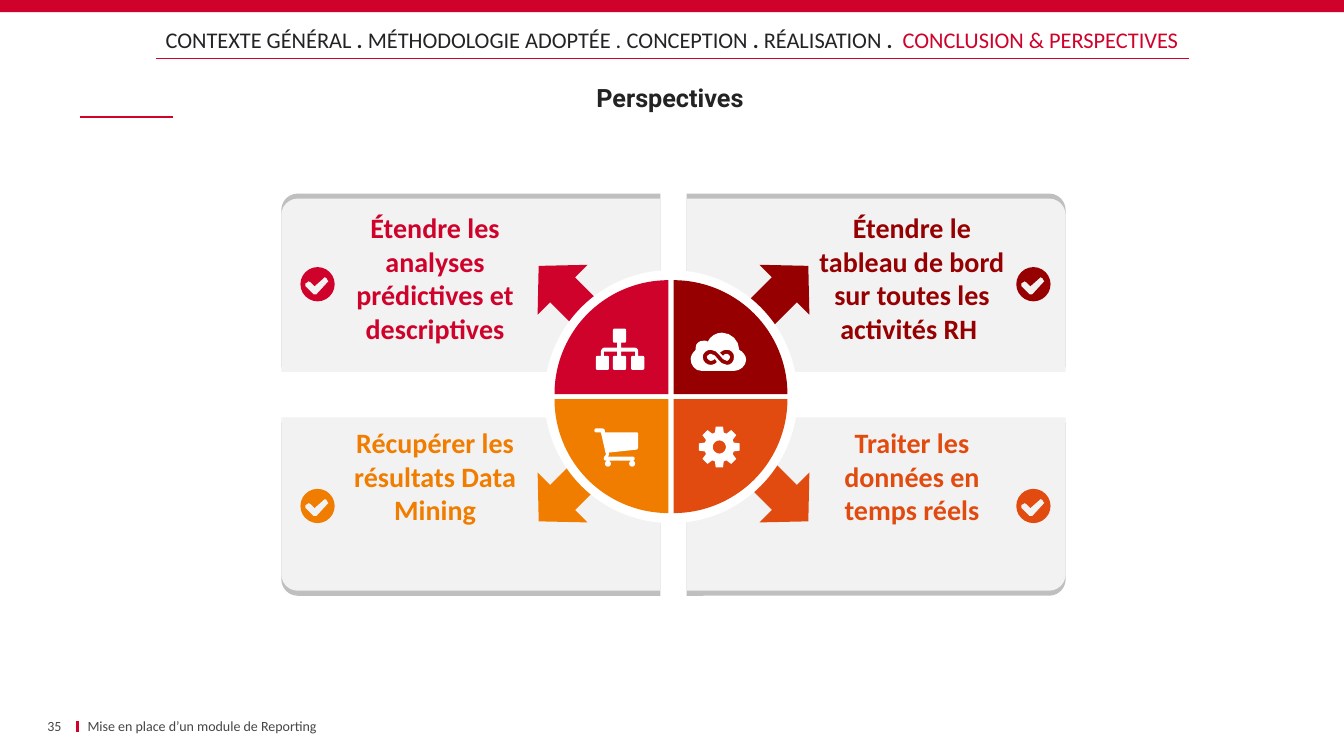
"""Builds the slide on the perspectives of the project, with four cards around a wheel."""
from math import cos, radians, sin

from lxml.etree import SubElement
from pptx import Presentation
from pptx.dml.color import RGBColor
from pptx.enum.shapes import MSO_CONNECTOR, MSO_SHAPE as SHAPE
from pptx.enum.text import MSO_ANCHOR as ANCHOR, MSO_AUTO_SIZE, PP_ALIGN as ALIGN
from pptx.oxml.ns import qn
from pptx.util import Pt

PX = 9144
RED, MAROON, ORANGE, RUST = "CF022B", "960000", "F07D00", "E14B0F"
WHITE, CARD, EDGE, INK, GREY = "FFFFFF", "F2F2F2", "BFBFBF", "232323", "464646"


def rgb(code):
    """Turn a hex string into a colour."""
    return RGBColor.from_string(code)


def emu(*lengths):
    """Turn px lengths into EMU."""
    return [round(length * PX) for length in lengths]


def paint(shape, colour):
    """Give a shape a flat fill without line or shadow."""
    shape.fill.solid()
    shape.fill.fore_color.rgb = rgb(colour)
    shape.line.fill.background()
    shape.shadow.inherit = False
    return shape


def block(slide, kind, box, colour, rotation=0, adjust=()):
    """Place a preset shape in a box."""
    shape = paint(slide.shapes.add_shape(kind, *emu(*box)), colour)
    shape.rotation = rotation
    for index, value in enumerate(adjust):
        shape.adjustments[index] = value


def rule(slide, start, end, width):
    """Draw a straight red line."""
    line = slide.shapes.add_connector(MSO_CONNECTOR.STRAIGHT, *emu(*start, *end))
    line.line.color.rgb = rgb(RED)
    line.line.width = Pt(width)
    SubElement(line._element.spPr, qn("a:effectLst"))


def write(holder, box, text, size, colour, face="Calibri", bold=False,
          align=ALIGN.CENTER, anchor=ANCHOR.TOP, sides=0):
    """Bring a text holder to the front, place it in a box and set its paragraph."""
    holder._element.getparent().append(holder._element)
    holder.left, holder.top, holder.width, holder.height = emu(*box)
    frame = holder.text_frame
    frame.word_wrap, frame.auto_size = True, MSO_AUTO_SIZE.NONE
    frame.vertical_anchor = anchor
    frame.margin_left = frame.margin_right = sides * PX
    frame.margin_top = frame.margin_bottom = 0
    line = frame.paragraphs[0]
    line.text, line.alignment = text, align
    props = line._p.get_or_add_pPr()
    props.set("marL", "0")
    props.set("indent", "0")
    SubElement(props, qn("a:buNone"))
    font = line.font
    font.name, font.size, font.bold = face, Pt(size), bold
    font.color.rgb = rgb(colour)
    return line


def text_box(slide):
    """Add an empty text box."""
    return slide.shapes.add_textbox(0, 0, PX, PX)


def flatten(outline, steps=4):
    """Turn points and cubic curves (six numbers) into a list of points."""
    points = [outline[0]]
    for part in outline[1:]:
        if len(part) == 2:
            points.append(part)
            continue
        nodes = [points[-1], part[:2], part[2:4], part[4:]]
        for step in range(1, steps + 1):
            t = step / steps
            weights = ((1 - t) ** 3, 3 * t * (1 - t) ** 2, 3 * t * t * (1 - t), t ** 3)
            points.append(tuple(sum(w * node[axis] for w, node in zip(weights, nodes))
                                for axis in (0, 1)))
    return points


def polar(cx, cy, radius, degrees):
    """Find the point at an angle around a centre."""
    return cx + radius * cos(radians(degrees)), cy + radius * sin(radians(degrees))


def circle(cx, cy, radius, step=15):
    """Outline a circle."""
    return [polar(cx, cy, radius, angle) for angle in range(0, 360, step)]


def node(x, y, w=13, h=14, r=3):
    """Outline a rounded box of the tree icon."""
    right, low = x + w, y + h
    return [(x + r, y), (right - r, y), (right, y, right, y, right, y + r),
            (right, low - r), (right, low, right, low, right - r, low),
            (x + r, low), (x, low, x, low, x, low - r),
            (x, y + r), (x, y, x, y, x + r, y)]


def icon(slide, left, top, outlines, colour=WHITE):
    """Draw one outline shape, with inner outlines as holes, at a corner."""
    contours = [[((left + x) * 10, (top + y) * 10) for x, y in flatten(outline)]
                for outline in outlines]
    builder = slide.shapes.build_freeform(*contours[0][0], scale=PX / 10)
    for index, contour in enumerate(contours):
        if index:
            builder.move_to(*contour[0])
        builder.add_line_segments(contour[1:], close=True)
    paint(builder.convert_to_shape(), colour)


CHECK = [circle(17, 17, 17),
         [(27, 13), (26, 11), (24, 10), (23, 11), (14, 19), (10, 15), (8, 14), (7, 15),
          (5, 16), (5, 19), (13, 27), (16, 27), (27, 15), (28, 14)]]
TREE = [node(17, 0), node(0, 27), node(17, 27), node(35, 27),
        [(21, 14), (25, 14), (25, 19), (39, 19), (41, 19, 42, 21, 42, 23), (42, 27),
         (39, 27), (39, 23), (25, 23), (25, 27), (21, 27), (21, 23), (8, 23), (8, 27),
         (5, 27), (5, 23), (5, 21, 7, 19, 8, 19), (21, 19)]]
CLOUD = [[(55, 27), (55, 33, 49, 38, 43, 38), (11, 38), (4, 38, 0, 32, 0, 26),
          (0, 23, 2, 20, 5, 17), (5, 15), (5, 11, 8, 8, 13, 8), (14, 8, 16, 8, 17, 9),
          (19, 4, 25, 0, 31, 0), (40, 0, 48, 8, 48, 16), (48, 17),
          (52, 19, 55, 23, 55, 27)],
         [(20, 32), (22, 32, 25, 31, 26, 29), (24, 26),
          (23, 27, 22, 28, 20, 28), (19, 28, 16, 26, 16, 24), (16, 23, 19, 21, 20, 21),
          (26, 21, 28, 32, 36, 32), (40, 32, 43, 29, 43, 24), (43, 20, 40, 17, 36, 17),
          (33, 17, 31, 18, 29, 20), (32, 23), (33, 22, 34, 21, 36, 21),
          (37, 21, 39, 23, 39, 24), (39, 26, 37, 28, 36, 28), (30, 28, 28, 17, 20, 17),
          (16, 17, 12, 20, 12, 24), (12, 29, 16, 32, 20, 32)]]
CART = [[(44, 19), (43, 21), (15, 24), (15, 26), (14, 28), (39, 28),
         (41, 28, 41, 32, 39, 32), (12, 32), (9, 32, 9, 29, 12, 26), (7, 4), (2, 4),
         (0, 4, 0, 0, 2, 0), (8, 0), (11, 0, 11, 2, 11, 4), (43, 4), (44, 5)],
        circle(14, 35, 3, 30), circle(38, 35, 3, 30)]
GEAR = [[polar(20.5, 20.5, radius, tooth + offset) for tooth in range(0, 360, 45)
         for radius, offset in ((15, -17), (20.5, -10), (20.5, 10), (15, 17))],
        circle(20.5, 20.5, 6.5)]

QUADRANTS = [
    (0, 0, RED, "Étendre les analyses prédictives et descriptives", TREE, (41, 48)),
    (1, 0, MAROON, "Étendre le tableau de bord sur toutes les activités RH ", CLOUD, (17, 52)),
    (0, 1, ORANGE, "Récupérer les résultats Data Mining", CART, (39, 29)),
    (1, 1, RUST, "Traiter les données en temps réels", GEAR, (25, 27)),
]
TURNS = {(0, 0): 0, (1, 0): 90, (1, 1): 180, (0, 1): 270}
HEADER = [("CONTEXTE GÉNÉRAL ", ""), (". ", "b"), ("MÉTHODOLOGIE ADOPTÉE ", ""),
          (". ", "i"), ("CONCEPTION ", ""), (".", "b"), (" RÉALISATION", ""),
          (" .  ", "b"), ("CONCLUSION & PERSPECTIVES", "red")]


def draw_card(slide, box, column, row, colour, text, holder):
    """Draw a card with its edge, arrow, check mark and text."""
    left, top, width, height = box
    corners = (0.095, 0) if column == row else (0, 0.095)
    for shift, shade in ((10 * row - 5, EDGE), (0, CARD)):
        block(slide, SHAPE.ROUND_2_DIAG_RECTANGLE, (left, top + shift, width, height),
              shade, adjust=corners)
    block(slide, SHAPE.UP_ARROW, (left + (62 if column else 244), top + (46 if row else 57), 70, 67),
          colour, (TURNS[column, row] + 315) % 360)
    icon(slide, left + (327 if column else 19), top + (71 if row else 68), CHECK, colour)
    write(holder, (left + (129 if column else 58), top + (8 if row else 12), 189, 44),
          text, 20, colour, bold=True).space_before = Pt(8)


def draw_wheel(slide, left, top):
    """Draw the white disc with its four wedges and icons."""
    block(slide, SHAPE.OVAL, (left, top, 251, 251), WHITE)
    for column, row, colour, _, outlines, (x, y) in QUADRANTS:
        wedge_left, wedge_top = left + 10 + 118 * column, top + 10 + 118 * row
        block(slide, SHAPE.PIE_WEDGE, (wedge_left, wedge_top, 113, 113), colour, TURNS[column, row])
        icon(slide, wedge_left + x, wedge_top + y, outlines)


def draw_header(slide, width):
    """Draw the top band, the section trail and the title."""
    block(slide, SHAPE.RECTANGLE, (0, 0, width, 12), RED)
    rule(slide, (79, 116), (172, 116), 1)
    trail = write(text_box(slide), (0, 26, width, 32), "", 16, INK, sides=10)
    for words, style in HEADER:
        run = trail.add_run()
        run.text = words
        run.font.bold, run.font.italic = style == "b", style == "i"
        run.font.color.rgb = rgb(RED if style == "red" else INK)
    rule(slide, (155, 58), (1179, 58), 1)
    write(slide.shapes.title, (78, 82, 1173, 30), "Perspectives", 18, INK, "Roboto", True)


def draw_footer(slide, top):
    """Draw the page number, its bar and the report title."""
    write(text_box(slide), (18, top, 43, 18), "35", 10, GREY, align=ALIGN.RIGHT, anchor=ANCHOR.MIDDLE)
    rule(slide, (77, top + 4), (77, top + 15), 2.25)
    write(text_box(slide), (77, top, 663, 18), "Mise en place d’un module de Reporting", 10, GREY,
          align=ALIGN.LEFT, anchor=ANCHOR.MIDDLE, sides=10)


def main():
    """Build and save the slide."""
    deck = Presentation()
    deck.slide_width, deck.slide_height = emu(1333, 750)
    slide = deck.slides.add_slide(deck.slide_layouts[4])
    draw_header(slide, 1333)
    holders = list(slide.placeholders)[1:]
    for (column, row, colour, text, *_), holder in zip(QUADRANTS, holders):
        draw_card(slide, (279 + 402 * column, 197 + 217 * row, 376, 172),
                  column, row, colour, text, holder)
    draw_wheel(slide, 540, 268)
    draw_footer(slide, 711)
    deck.save("out.pptx")


if __name__ == "__main__":
    main()
